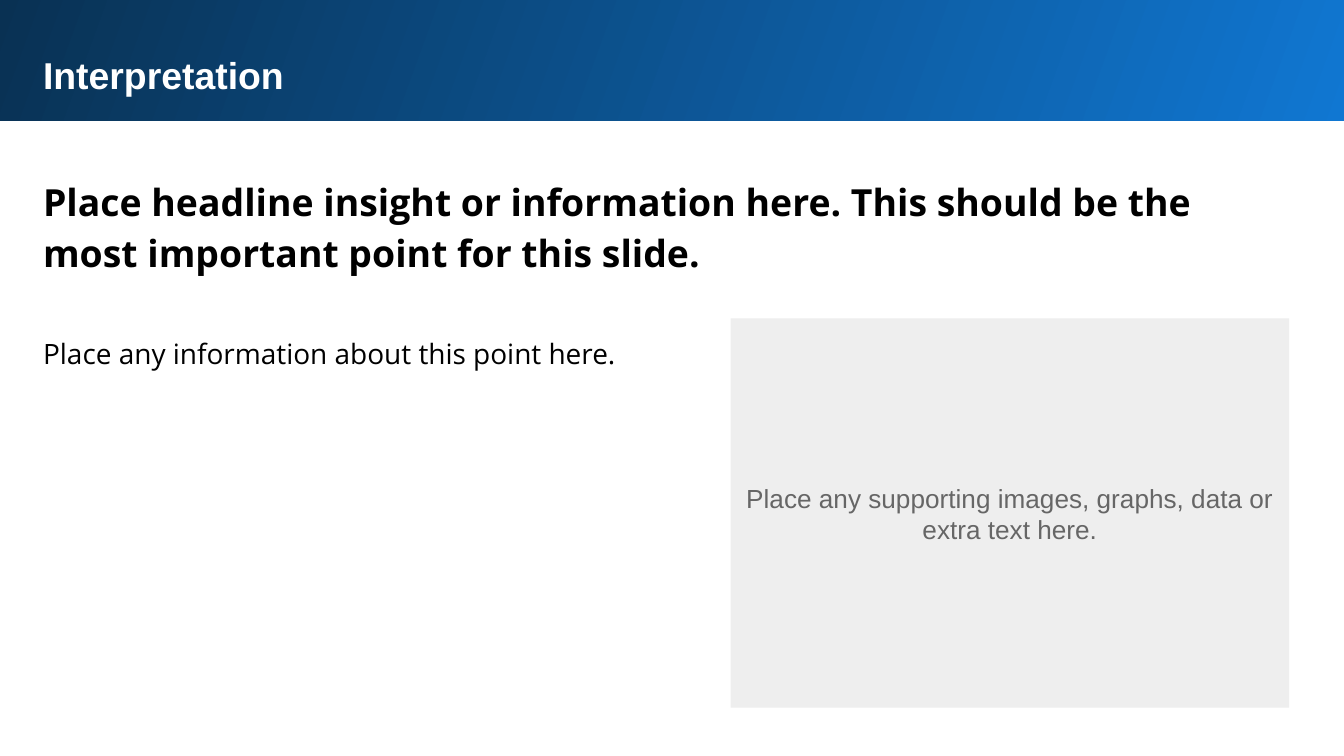
from dataclasses import dataclass

from pptx import Presentation
from pptx.dml.color import RGBColor as RGB
from pptx.enum.shapes import MSO_SHAPE as Shape
from pptx.enum.text import MSO_ANCHOR as Anchor, MSO_AUTO_SIZE as Auto, PP_ALIGN as Align
from pptx.util import Pt


@dataclass(frozen=True)
class Theme:
    white: str = "FFFFFF"
    black: str = "000000"
    gray: str = "666666"
    pale: str = "EEEEEE"
    blue: str = "1077D2"
    navy: str = "093153"
    sans: str = "Arial"
    body: str = "Open Sans"
    head: int = 20
    text: int = 15
    note: int = 14
    inset: float = 7.2


class Deck:
    """Draw styled elements on the current slide."""

    def __init__(self, theme, wide, high):
        self.theme = theme
        self.show = Presentation()
        self.show.slide_width, self.show.slide_height = Pt(wide), Pt(high)
        self.slide = self.show.slides.add_slide(self.show.slide_layouts[6])
        self.host = self.slide.shapes

    def group(self):
        self.host = self.slide.shapes.add_group_shape().shapes

    def rect(self, box):
        shape = self.host.add_shape(Shape.RECTANGLE, *map(Pt, box))
        shape.shadow.inherit = False
        shape.line.fill.background()
        return shape.fill

    def panel(self, box, color):
        fill = self.rect(box)
        fill.solid()
        fill.fore_color.rgb = RGB.from_string(color)

    def band(self, box, colors, angle):
        fill = self.rect(box)
        fill.gradient()
        fill.gradient_angle = angle
        for stop, color in zip(fill.gradient_stops, colors):
            stop.color.rgb = RGB.from_string(color)

    def text(self, box, words, size, face, color, bold=False, space=1.0,
             align=Align.LEFT, anchor=Anchor.TOP):
        frame = self.host.add_textbox(*map(Pt, box)).text_frame
        frame.word_wrap = True
        frame.auto_size = Auto.SHAPE_TO_FIT_TEXT
        frame.vertical_anchor = anchor
        frame.margin_left = frame.margin_right = Pt(self.theme.inset)
        frame.margin_top = frame.margin_bottom = Pt(self.theme.inset)
        para = frame.paragraphs[0]
        para.text = words
        para.alignment = align
        para.line_spacing = space
        font = para.font
        font.size, font.name, font.bold = Pt(size), face, bold
        font.color.rgb = RGB.from_string(color)

    def save(self):
        self.show.save("out.pptx")


look = Theme()
deck = Deck(look, 720, 405)
left, wide, row = 16, 674.6, 170.6
side, span = 391.4, 299.2

deck.band((-1.5, -1.5, 723.6, 66.3), (look.blue, look.navy), 160)
deck.text((left, 21, wide, 59.8), "Interpretation",
          look.head, look.sans, look.white, bold=True)
deck.text((left, 85, wide, 72.7),
          "Place headline insight or information here. "
          "This should be the most important point for this slide.",
          look.head, look.body, look.black, bold=True, space=1.15)
deck.text((left, row, 325.4, 34.6), "Place any information about this point here.",
          look.text, look.body, look.black, space=1.15)

deck.group()
deck.panel((side, row, span, 208.5), look.pale)
deck.text((side, 252, span, 46), "Place any supporting images, graphs, data or extra text here.",
          look.note, look.sans, look.gray, align=Align.CENTER, anchor=Anchor.MIDDLE)
deck.save()
